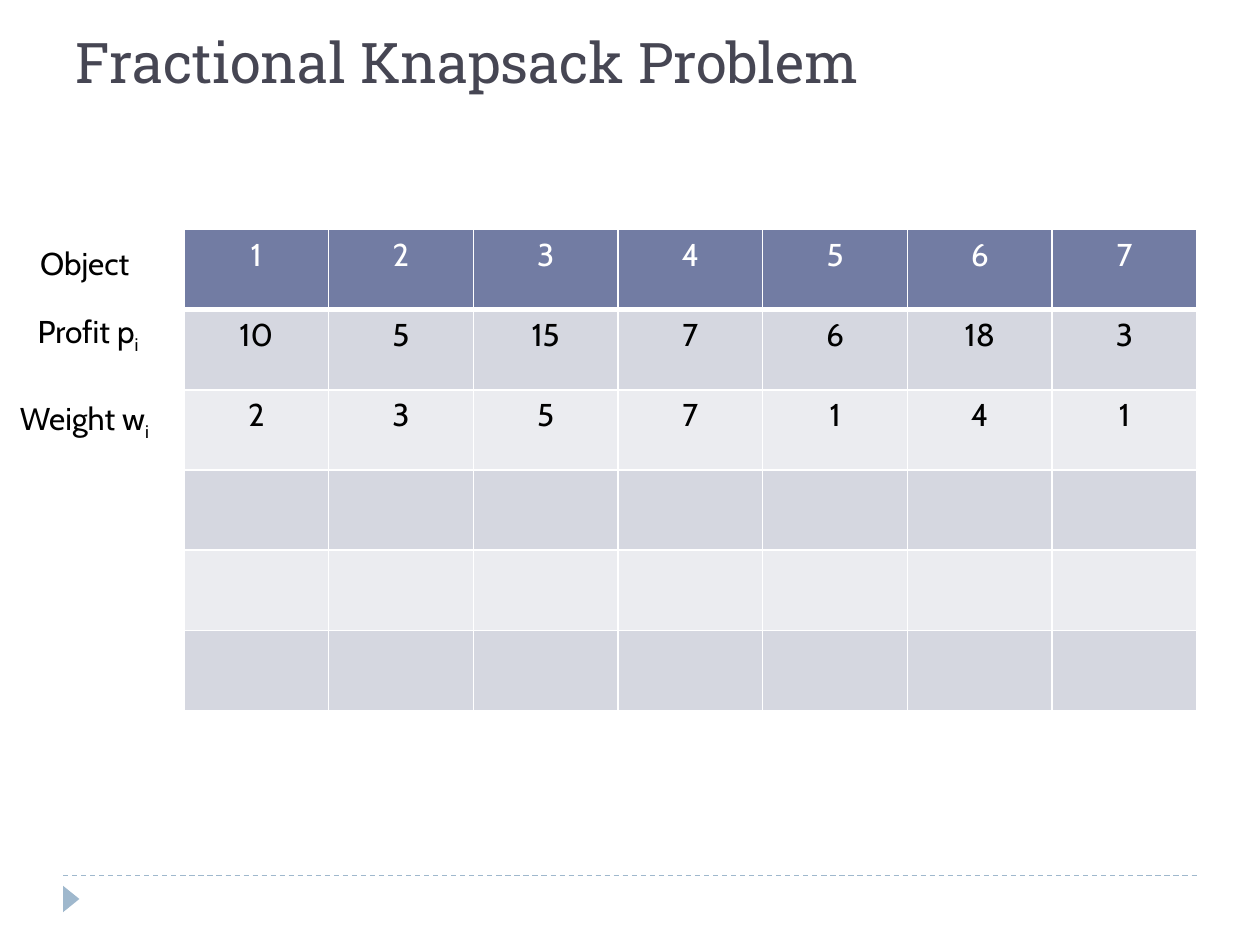
from pptx import Presentation
from pptx.dml.color import RGBColor
from pptx.enum.dml import MSO_LINE
from pptx.enum.shapes import MSO_CONNECTOR, MSO_SHAPE
from pptx.enum.text import MSO_ANCHOR, MSO_AUTO_SIZE, PP_ALIGN
from pptx.oxml.ns import qn
from pptx.util import Inches, Pt
from lxml.etree import SubElement

COLORS = {
    "title": "464653", "text": "000000", "white": "FFFFFF", "accent": "9FB8CD",
    "header": "727CA3", "odd": "D5D7E0", "even": "EBECF0",
}
BODY = {"name": "Cabin", "size": Pt(18)}
HEADING = {"name": "Roboto Slab", "size": Pt(32)}
FRAME = {"word_wrap": True, "vertical_anchor": MSO_ANCHOR.TOP}
COLUMNS, ROWS = 7, 6
VALUES = [
    [1, 2, 3, 4, 5, 6, 7],
    [10, 5, 15, 7, 6, 18, 3],
    [2, 3, 5, 7, 1, 4, 1],
]
LABELS = [
    ("Object", "", 0.22, 1.89, 1.18),
    ("Profit p", "i", 0.2, 2.43, 1.18),
    ("Weight w", "i", 0.06, 3.12, 1.34),
]


def apply(target, values):
    for name, value in values.items():
        setattr(target, name, value)


class SlideBuilder:
    def __init__(self, s):
        self.s = s

    def color(self, name):
        return RGBColor.from_string(COLORS[name])

    def run(self, p, text, style, color, baseline=None):
        r = p.add_run()
        r.text = text
        apply(r.font, style)
        r.font.color.rgb = self.color(color)
        if baseline:
            r.font._element.set("baseline", str(baseline))

    def text(self, box, text, style, color, subscript="", grow=False):
        sp = self.s.shapes.add_textbox(*map(Inches, box))
        tf = sp.text_frame
        apply(tf, FRAME)
        if grow:
            tf.auto_size = MSO_AUTO_SIZE.SHAPE_TO_FIT_TEXT
        p = tf.paragraphs[0]
        self.run(p, text, style, color)
        if subscript:
            self.run(p, subscript, style, color, -25000)

    def dashed_line(self, start, end):
        line = self.s.shapes.add_connector(
            MSO_CONNECTOR.STRAIGHT, *map(Inches, start + end))
        apply(line.line, {"width": Pt(0.75), "dash_style": MSO_LINE.DASH})
        line.line.color.rgb = self.color("accent")
        SubElement(line._element.spPr, qn("a:effectLst"))

    def triangle(self, box, rotation):
        sp = self.s.shapes.add_shape(
            MSO_SHAPE.ISOSCELES_TRIANGLE, *map(Inches, box))
        sp.rotation = rotation
        sp.shadow.inherit = False
        sp.fill.solid()
        sp.fill.fore_color.rgb = self.color("accent")
        sp.line.fill.background()

    def borders(self, cell, bottom):
        tc_pr = cell._tc.get_or_add_tcPr()
        for side, width in {"L": 1, "R": 1, "T": 1, "B": bottom}.items():
            ln = SubElement(tc_pr, qn(f"a:ln{side}"), w=str(Pt(width)))
            fill = SubElement(ln, qn("a:solidFill"))
            SubElement(fill, qn("a:srgbClr"), val=COLORS["white"])

    def table(self, box, values):
        table = self.s.shapes.add_table(
            ROWS, COLUMNS, *map(Inches, box)).table
        for i in range(ROWS):
            fill = "header" if i == 0 else "odd" if i % 2 else "even"
            for j in range(COLUMNS):
                cell = table.cell(i, j)
                self.borders(cell, 3 if i == 0 else 1)
                cell.fill.solid()
                cell.fill.fore_color.rgb = self.color(fill)
                if i < len(values):
                    p = cell.text_frame.paragraphs[0]
                    p.alignment = PP_ALIGN.CENTER
                    self.run(p, str(values[i][j]), BODY,
                             "text" if i else "white")


def main():
    prs = Presentation()
    apply(prs, {"slide_width": Inches(10), "slide_height": Inches(7.5)})
    slide = SlideBuilder(prs.slides.add_slide(prs.slide_layouts[6]))
    slide.dashed_line((0.5, 6.95), (9.5, 6.95))
    slide.triangle((0.46, 7.07, 0.21, 0.13), 90)
    slide.table((1.46, 1.82, 8.04, 3.82), VALUES)
    for text, subscript, left, top, width in LABELS:
        slide.text((left, top, width, 0.4), text, BODY, "text", subscript, True)
    slide.text((0.5, 0.17, 9, 1.08), "Fractional Knapsack Problem",
               HEADING, "title")
    prs.save("out.pptx")


if __name__ == "__main__":
    main()
